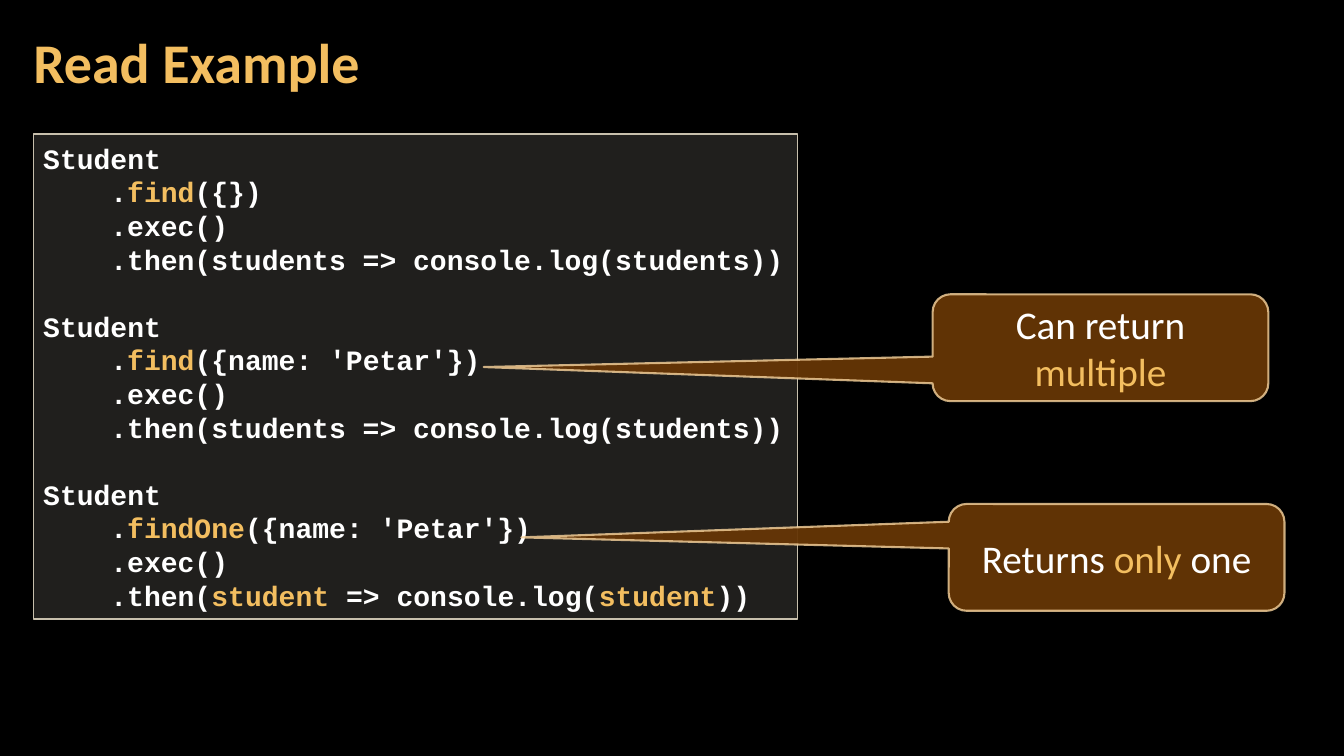
from lxml import etree
from pptx import Presentation
from pptx import util as u
from pptx.dml.color import RGBColor
from pptx.enum import shapes, text
from pptx.oxml.ns import qn

BLACK, WHITE, GOLD = "000000", "FFFFFF", "F3BE60"
LINE_PITCH = u.Pt(24)
CODE_INDENT = u.Pt(48)

FIND_ALL = [
    [("Student", WHITE)],
    [(".", WHITE), ("find", GOLD), ("({})", WHITE)],
    [(".exec()", WHITE)],
    [(".then(students => console.log(students))", WHITE)],
]
FIND_NAMED = [
    FIND_ALL[0],
    [(".", WHITE), ("find", GOLD), ("({name: 'Petar'})", WHITE)],
    *FIND_ALL[2:],
]
FIND_ONE = [
    FIND_ALL[0],
    [(".", WHITE), ("findOne", GOLD), ("({name: 'Petar'})", WHITE)],
    FIND_ALL[2],
    [(".then(", WHITE), ("student", GOLD), (" => console.log(", WHITE),
     ("student", GOLD), ("))", WHITE)],
]
CALLOUTS = [
    ((9.25, 2.92, 3.33, 1.06), (-1.837, 0.181, 0.167),
     [("Can return ", WHITE), ("multiple", GOLD)]),
    ((9.41, 5, 3.33, 1.06), (-1.773, -0.187, 0.167),
     [("Returns ", WHITE), ("only", GOLD), (" one", WHITE)]),
]


def paint(color, value, opacity=100):
    """Set a colour from a hex string, with an opacity in percent."""
    color.rgb = RGBColor.from_string(value)
    if opacity < 100:
        tint = color._xFill.find(qn("a:srgbClr"))
        etree.SubElement(tint, qn("a:alpha")).set("val", str(opacity * 1000))


def write(paragraph, pieces, font, size, bold=False):
    """Fill a paragraph with pieces of coloured text."""
    for words, color in pieces:
        run = paragraph.add_run()
        run.text = words
        run.font.name, run.font.size, run.font.bold = font, u.Pt(size), bold
        paint(run.font.color, color)


def add_panel(slide, preset, box, fill, edge):
    """Add a translucent outlined shape and return it."""
    panel = slide.shapes.add_shape(preset, *map(u.Inches, box))
    panel.shadow.inherit = False
    panel.fill.solid()
    paint(panel.fill.fore_color, *fill)
    edge_color, edge_opacity, edge_width = edge
    panel.line.width = u.Pt(edge_width)
    paint(panel.line.color, edge_color, edge_opacity)
    panel.text_frame.word_wrap = True
    panel.text_frame.vertical_anchor = text.MSO_ANCHOR.MIDDLE
    return panel


def add_heading(slide, box, words):
    """Place the slide title in the title placeholder."""
    heading = slide.shapes.title
    heading.left, heading.top, heading.width, heading.height = map(u.Inches, box)
    frame = heading.text_frame
    frame.vertical_anchor = text.MSO_ANCHOR.MIDDLE
    frame.margin_left = frame.margin_right = u.Inches(0.12)
    frame.margin_top = frame.margin_bottom = u.Inches(0.04)
    line = frame.paragraphs[0]
    line.alignment = text.PP_ALIGN.LEFT
    line.line_spacing = 0.9
    write(line, [(words, GOLD)], "Calibri", 40, True)


def add_code(slide, box, queries):
    """Place the code panel, one group of lines per query."""
    panel = add_panel(slide, shapes.MSO_SHAPE.RECTANGLE, box,
                      ("D9D5C7", 15), ("C7BFAC", 100, 1))
    frame = panel.text_frame
    for query_index, query in enumerate(queries):
        for line_index, pieces in enumerate(query):
            first = query_index == line_index == 0
            line = frame.paragraphs[0] if first else frame.add_paragraph()
            line.alignment = text.PP_ALIGN.LEFT
            line.line_spacing = LINE_PITCH
            if line_index:
                line._p.get_or_add_pPr().set("marL", str(CODE_INDENT))
            elif query_index:
                line.space_before = LINE_PITCH
            write(line, pieces, "Courier New", 20, True)


def add_callout(slide, box, pointer, pieces):
    """Place a rounded callout whose tip points into the code."""
    callout = add_panel(slide, shapes.MSO_SHAPE.ROUNDED_RECTANGULAR_CALLOUT, box,
                        ("663606", 95), ("F8D49E", 80, 1.5))
    for index, value in enumerate(pointer):
        callout.adjustments[index] = value
    line = callout.text_frame.paragraphs[0]
    line.alignment = text.PP_ALIGN.CENTER
    write(line, pieces, "Calibri", 28)


def main():
    """Build and save the slide."""
    deck = Presentation()
    deck.slide_width, deck.slide_height = u.Inches(13.33), u.Inches(7.5)
    slide = deck.slides.add_slide(deck.slide_layouts[5])
    slide.background.fill.solid()
    paint(slide.background.fill.fore_color, BLACK)
    add_heading(slide, (0.21, 0.04, 10.47, 1.21), "Read Example")
    add_code(slide, (0.33, 1.33, 7.58, 4.81), [FIND_ALL, FIND_NAMED, FIND_ONE])
    for box, pointer, pieces in CALLOUTS:
        add_callout(slide, box, pointer, pieces)
    deck.save("out.pptx")


if __name__ == "__main__":
    main()
